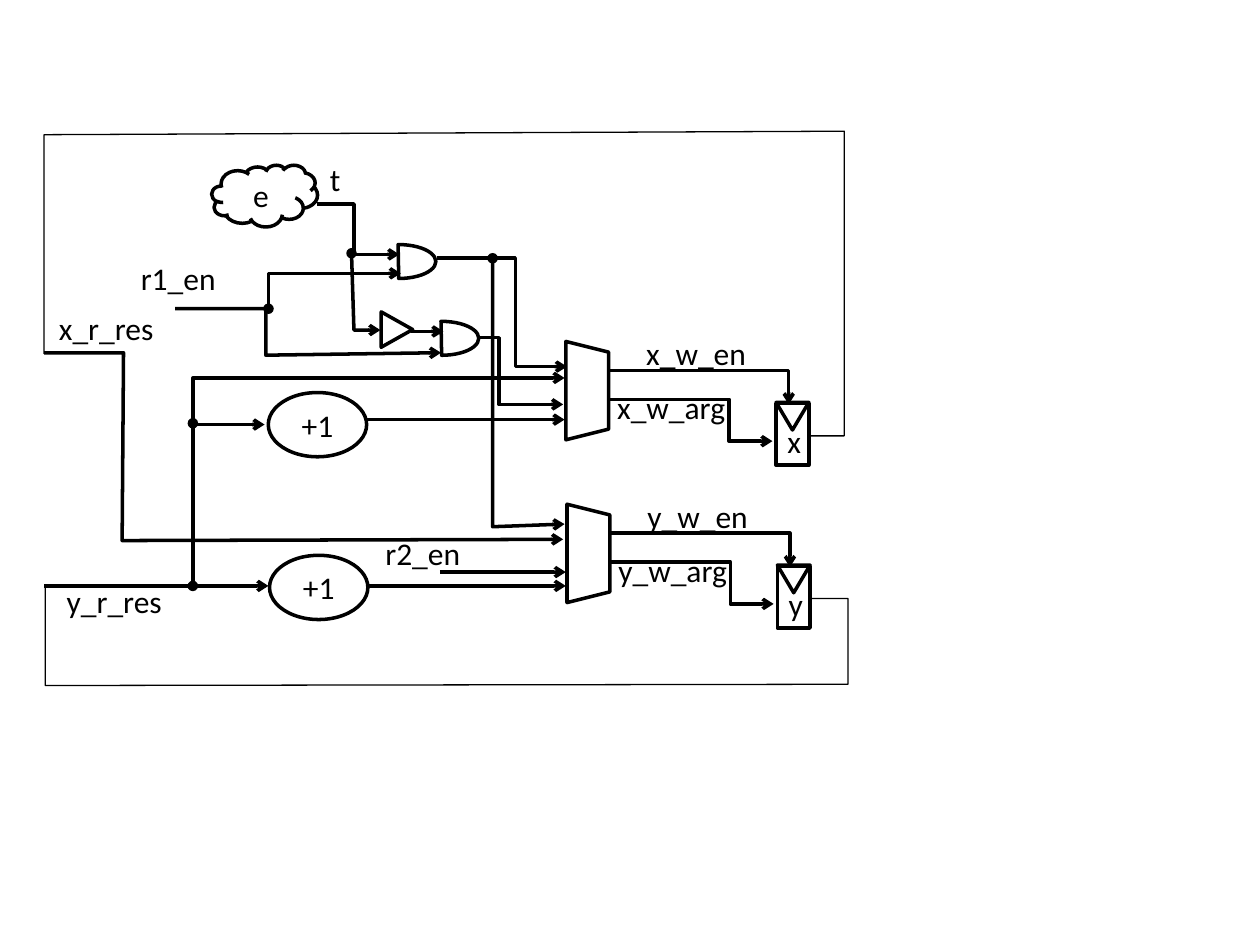
from dataclasses import dataclass

from pptx import Presentation
from pptx.dml.color import RGBColor
from pptx.enum import shapes as kinds, text as t
from pptx.oxml import ns
from pptx.util import Pt
from lxml import etree


@dataclass(frozen=True)
class Theme:
    """Holds the colours, type and line widths of the circuit."""
    ink: RGBColor = RGBColor(0, 0, 0)
    font: str = "Calibri"
    size: float = 18
    bold_line: float = 2
    thin_line: float = 0.75
    label_height: float = 29


THEME = Theme()
SHAPE = kinds.MSO_SHAPE


def style_text(frame, words, align):
    """Writes one paragraph in the theme's type."""
    paragraph = frame.paragraphs[0]
    paragraph.text = words
    paragraph.alignment = align
    paragraph.font.name = THEME.font
    paragraph.font.size = Pt(THEME.size)
    paragraph.font.color.rgb = THEME.ink


def label(slide, left, top, width, words):
    """Places an unwrapped signal name."""
    frame = slide.shapes.add_textbox(
        Pt(left), Pt(top), Pt(width), Pt(THEME.label_height)).text_frame
    frame.word_wrap = False
    frame.auto_size = t.MSO_AUTO_SIZE.SHAPE_TO_FIT_TEXT
    style_text(frame, words, t.PP_ALIGN.LEFT)


def part(parent, kind, left, top, width, height, rotation=0, words=""):
    """Places an outlined part; the box is the one seen after rotation."""
    if rotation in (90, 270):
        left, top = left + (width - height) / 2, top + (height - width) / 2
        width, height = height, width
    outline = parent.shapes.add_shape(kind, Pt(left), Pt(top), Pt(width), Pt(height))
    outline.rotation = rotation
    outline.shadow.inherit = False
    outline.fill.background()
    outline.line.color.rgb = THEME.ink
    outline.line.width = Pt(THEME.bold_line)
    if words:
        outline.text_frame.vertical_anchor = t.MSO_ANCHOR.MIDDLE
        style_text(outline.text_frame, words, t.PP_ALIGN.CENTER)
    return outline


def wire(slide, origin, route, head=None, tail="arrow", width=THEME.bold_line):
    """Draws a wire along points given relative to the origin."""
    points = [(Pt(origin[0] + x), Pt(origin[1] + y)) for x, y in route]
    if len(points) == 2:
        line = slide.shapes.add_connector(
            kinds.MSO_CONNECTOR.STRAIGHT, *points[0], *points[1])
        etree.SubElement(line.element.spPr, ns.qn("a:effectLst"))
    else:
        builder = slide.shapes.build_freeform(*points[0])
        builder.add_line_segments(points[1:], close=False)
        line = builder.convert_to_shape()
        line.shadow.inherit = False
        line.fill.background()
    line.line.color.rgb = THEME.ink
    line.line.width = Pt(width)
    stroke = line.element.spPr.find(ns.qn("a:ln"))
    for tag, end in (("a:headEnd", head), ("a:tailEnd", tail)):
        if end:
            etree.SubElement(stroke, ns.qn(tag)).set("type", end)


def and_gate(slide, left, top):
    """Draws an AND gate as the right half of an ellipse."""
    gate = part(slide, SHAPE.CHORD, left, top, 42.5, 19.4, 270)
    gate.adjustments[0] = 214.807
    gate.adjustments[1] = 107.84


def register(slide, left, top, name):
    """Draws a clocked register with its name."""
    group = slide.shapes.add_group_shape()
    part(group, SHAPE.RECTANGLE, left, top, 18.7, 35.3)
    part(group, SHAPE.ISOSCELES_TRIANGLE, left, top - 0.7, 18.7, 15.8, 180)
    label(slide, left - 0.7, top + 7.2, 22.3, name)


def write_stage(slide, left, top, name):
    """Draws the incrementer, multiplexer and register of one variable."""
    origin = left, top
    part(slide, SHAPE.TRAPEZOID, left, top, 24.5, 56.2, 90)
    part(slide, SHAPE.OVAL, left - 170, top + 29.2, 56.2, 36.7, words="+1")
    wire(slide, origin, [(25.2, 16.6), (127.4, 16.6), (127.4, 36)])
    wire(slide, origin, [(24.5, 33.1), (93.4, 33.1), (93.4, 57), (118.1, 57)])
    label(slide, left + 38.9, top - 7.9, 72, f"{name}_w_en")
    label(slide, left + 22.3, top + 23.1, 77, f"{name}_w_arg")
    register(slide, left + 120.2, top + 35.5, name)


def control_logic(slide, left, top):
    """Draws the condition cloud, the gates and their enable wires."""
    origin = left, top
    part(slide, SHAPE.CLOUD, left + 48, top + 7.3, 60.5, 35.3, words="e")
    and_gate(slide, left + 133.6, top + 52.7)
    and_gate(slide, left + 158.1, top + 96.6)
    part(slide, SHAPE.ISOSCELES_TRIANGLE, left + 144.8, top + 91.2, 18, 20.2, 90)
    label(slide, left + 108.4, top + 0.8, 20.9, "t")
    label(slide, left + 0.4, top + 57.7, 57.6, "r1_en")
    for route in (
        [(108.4, 29.6), (129.3, 29.6), (129.3, 58.4), (155.2, 58.4)],
        [(161.7, 102.4), (180.4, 102.4)],
        [(27.1, 89.4), (78.9, 89.4), (78.9, 116), (179, 114.6)],
        [(176.8, 60.6), (221.5, 60.6), (221.5, 122.5), (251, 122.5)],
        [(199.9, 106), (212.1, 106), (212.1, 144.1), (248.8, 144.1)],
    ):
        wire(slide, origin, route)
    for branch in (
        [(127.9, 57.7), (129.3, 101.6), (144.4, 101.6)],
        [(80.4, 89.4), (80.4, 69.2), (156, 69.2)],
        [(208.5, 60.6), (208.5, 214), (249.6, 212.5)],
    ):
        wire(slide, origin, branch, head="oval")


def operand_routing(slide, left, top):
    """Draws the read results, their branches and the feedback loops."""
    origin = left, top
    label(slide, left + 1.6, top + 97.8, 69.1, "x_r_res")
    label(slide, left + 6, top + 254, 69.8, "y_r_res")
    label(slide, left + 188.1, top + 226.7, 57.6, "r2_en")
    for route in (
        [(0.2, 126.6), (45.6, 126.6), (44.8, 233.9), (296.8, 233.2)],
        [(0.2, 259.8), (128.4, 259.8)],
        [(184.5, 164.8), (297.6, 164.8)],
        [(184.5, 259.8), (298.3, 259.8)],
        [(226.3, 251.9), (298.3, 251.9)],
    ):
        wire(slide, origin, route)
    for branch in (
        [(85.2, 259.8), (85.2, 167.6), (126.2, 167.6)],
        [(85.2, 166.9), (85.2, 141), (297.6, 141)],
    ):
        wire(slide, origin, branch, head="oval")
    for feedback in (
        [(437.2, 174.1), (457.4, 174.1), (457.4, 0), (0.2, 2), (0.2, 127.3)],
        [(437.2, 267), (459.6, 267), (459.6, 316), (0.9, 316.7), (0.9, 260.5)],
    ):
        wire(slide, origin, feedback, tail=None, width=THEME.thin_line)


def main():
    """Builds the circuit slide and saves it."""
    deck = Presentation()
    deck.slide_width, deck.slide_height = Pt(720), Pt(540)
    slide = deck.slides.add_slide(deck.slide_layouts[6])
    for row, name in enumerate("xy"):
        write_stage(slide, 323.3 + 0.7 * row, 195.1 + 93 * row, name)
    control_logic(slide, 73, 87)
    operand_routing(slide, 25, 75)
    deck.save("out.pptx")


if __name__ == "__main__":
    main()
